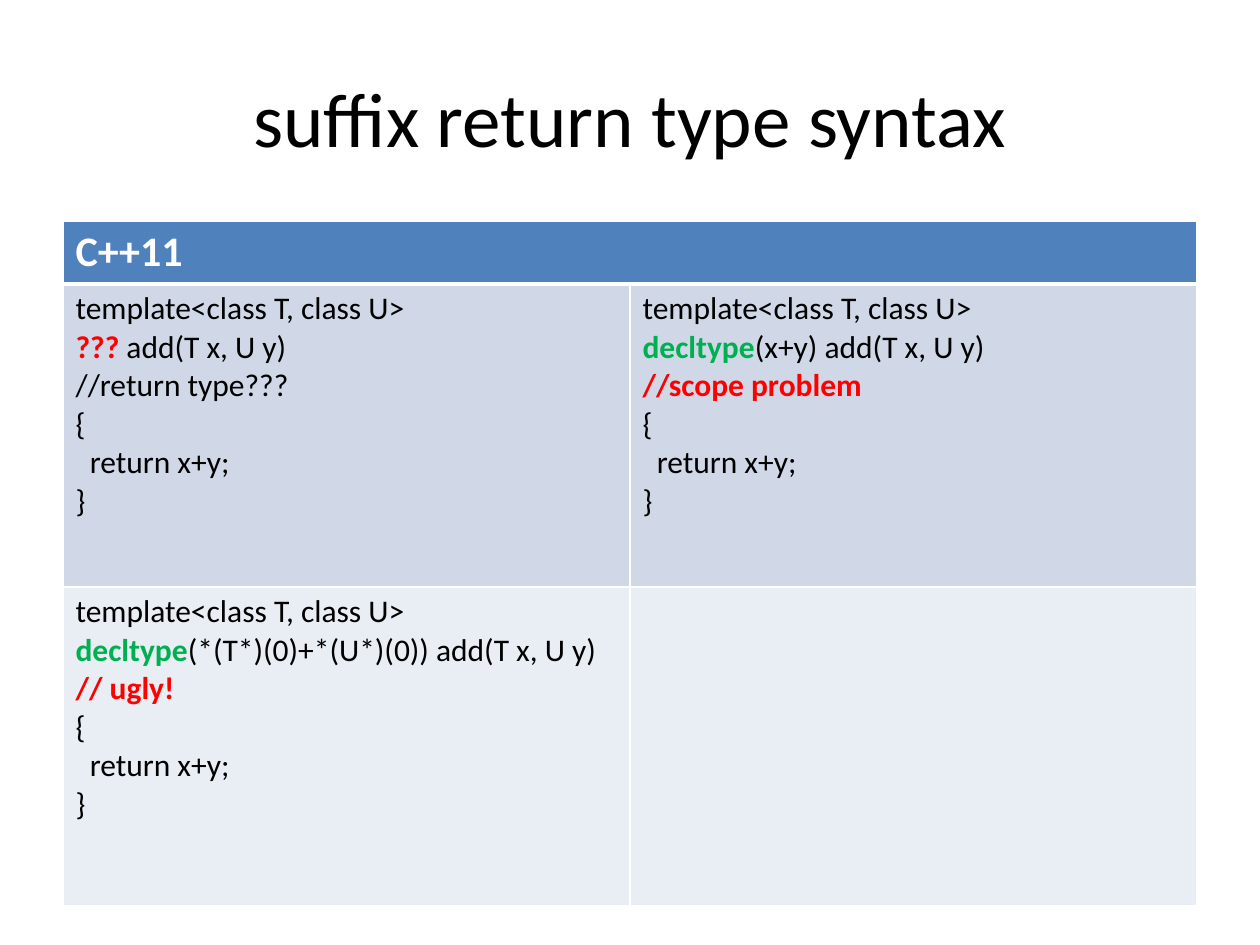
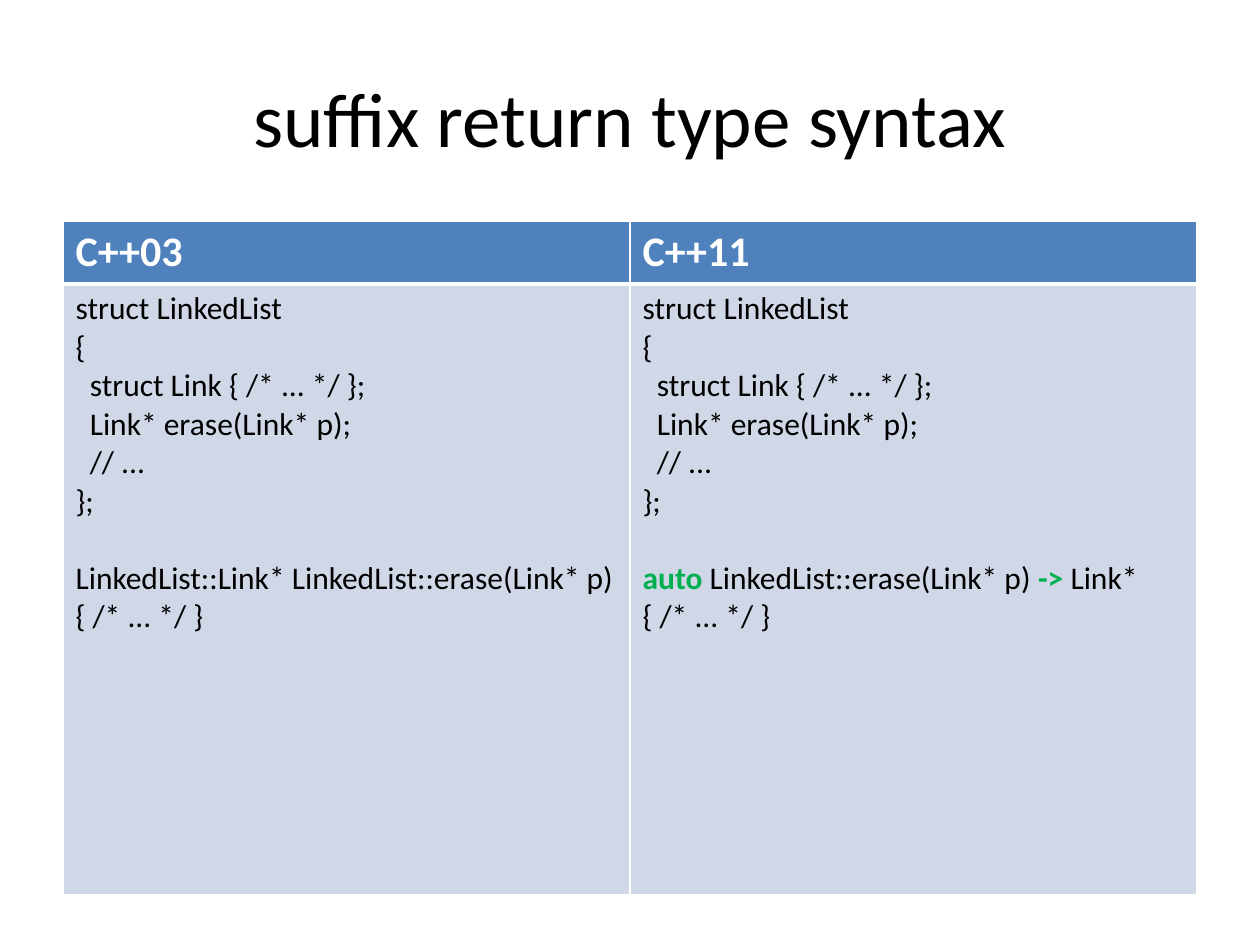
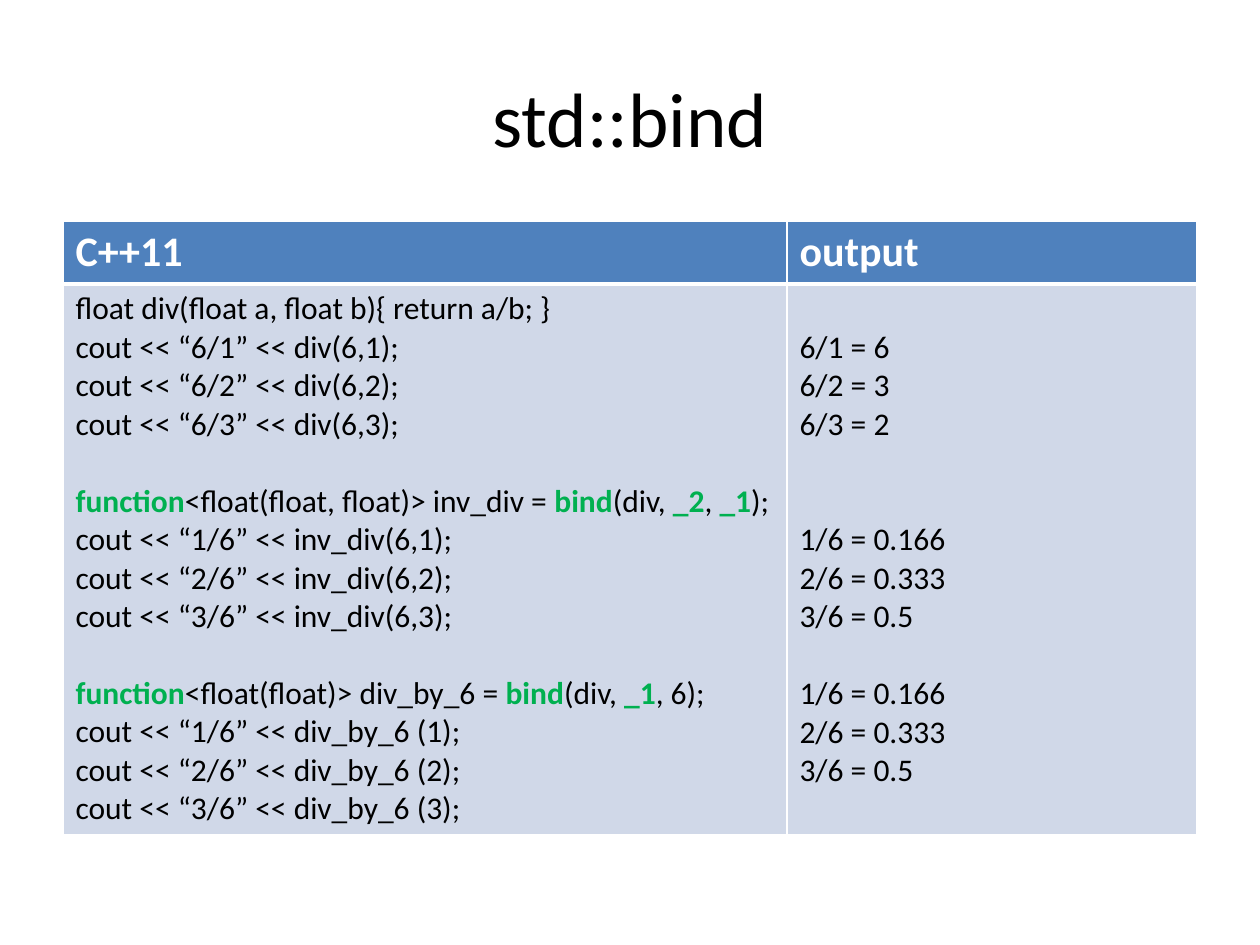
from lxml.etree import SubElement
from pptx import Presentation
from pptx.dml.color import RGBColor
from pptx.enum.text import MSO_ANCHOR, PP_ALIGN
from pptx.oxml.ns import qn
from pptx.util import Pt

SCALE = 914400 / 126
FONT = "Calibri"
COLOURS = {
    "white": "FFFFFF",
    "black": "000000",
    "header": "4F81BD",
    "odd_row": "D0D8E8",
    "even_row": "E9EDF4",
    "red": "FF0000",
    "green": "00B050",
}
PAGE_WIDTH, PAGE_HEIGHT = 1260, 945
LEFT, CONTENT_WIDTH = 63, 1134
TITLE_TOP, TITLE_HEIGHT = 38, 157
TABLE_TOP, HEADER_HEIGHT = 221, 63
CELL_MARGIN = 6
CODE_LINE = 22


def px(length):
    return round(length * SCALE)


def add_span(para, text, size, colour, bold=False):
    span = para.add_run()
    span.text = text
    span.font.name = FONT
    span.font.size = Pt(size)
    span.font.bold = bold
    span.font.color.rgb = RGBColor.from_string(COLOURS[colour])


template_line = ["template<class T, class U>"]
add_body = [["{"], ["  return x+y;"], ["}"]]
struct_lines = [
    ["struct LinkedList"],
    ["{"],
    ["  struct Link { /* ... */ };"],
    ["  Link* erase(Link* p);"],
    ["  // ..."],
    ["};"],
    [],
]
erase_body = ["{ /* ... */ }"]
function, bind = ("function", "green"), ("bind", "green")
first, second = ("_1", "green"), ("_2", "green")
sixths = [["1/6 = 0.166"], ["2/6 = 0.333"], ["3/6 = 0.5"]]

unknown_type = [
    template_line,
    [("??? ", "red"), "add(T x, U y)"],
    ["//return type???"],
    *add_body,
]
scope_problem = [
    template_line,
    [("decltype", "green"), "(x+y) add(T x, U y)"],
    [("//scope problem", "red")],
    *add_body,
]
ugly_type = [
    template_line,
    [("decltype", "green"), "(*(T*)(0)+*(U*)(0)) add(T x, U y)"],
    [("// ugly!", "red")],
    *add_body,
]
prefix_erase = [*struct_lines, ["LinkedList::Link* LinkedList::erase(Link* p)"], erase_body]
suffix_erase = [
    *struct_lines,
    [("auto ", "green"), "LinkedList::erase(Link* p) ", ("-> ", "green"), "Link*"],
    erase_body,
]
bind_code = [
    ["float div(float a, float b){ return a/b; }"],
    *[[f"cout << “6/{n}” << div(6,{n});"] for n in (1, 2, 3)],
    [],
    [function, "<float(float, float)> inv_div = ", bind, "(div, ", second, ", ", first, ");"],
    *[[f"cout << “{n}/6” << inv_div(6,{n});"] for n in (1, 2, 3)],
    [],
    [function, "<float(float)> div_by_6 = ", bind, "(div, ", first, ", 6);"],
    *[[f"cout << “{n}/6” << div_by_6 ({n});"] for n in (1, 2, 3)],
]
bind_output = [
    [], ["6/1 = 6"], ["6/2 = 3"], ["6/3 = 2"],
    [], [], *sixths,
    [], *sixths,
]

pages = [
    {
        "title": "suffix return type syntax",
        "columns": [567, 567],
        "headers": ["C++11"],
        "heights": [303, 319],
        "rows": [[unknown_type, scope_problem], [ugly_type, []]],
    },
    {
        "title": "suffix return type syntax",
        "columns": [567, 567],
        "headers": ["C++03", "C++11"],
        "heights": [611],
        "rows": [[prefix_erase, suffix_erase]],
    },
    {
        "title": "std::bind",
        "columns": [724, 410],
        "headers": ["C++11", "output"],
        "heights": [551],
        "rows": [[bind_code, bind_output]],
    },
]

deck = Presentation()
deck.slide_width, deck.slide_height = px(PAGE_WIDTH), px(PAGE_HEIGHT)

for content in pages:
    page = deck.slides.add_slide(deck.slide_layouts[6])
    box = page.shapes.add_textbox(px(LEFT), px(TITLE_TOP), px(CONTENT_WIDTH), px(TITLE_HEIGHT))
    box.text_frame.word_wrap = True
    box.text_frame.vertical_anchor = MSO_ANCHOR.MIDDLE
    title = box.text_frame.paragraphs[0]
    title.alignment = PP_ALIGN.CENTER
    add_span(title, content["title"], 44, "black")

    heights = [HEADER_HEIGHT, *content["heights"]]
    table = page.shapes.add_table(
        len(heights), len(content["columns"]),
        px(LEFT), px(TABLE_TOP), px(CONTENT_WIDTH), px(sum(heights)),
    ).table
    for column, width in zip(table.columns, content["columns"]):
        column.width = px(width)
    for row_index, height in enumerate(heights):
        table.rows[row_index].height = px(height)
        fill = "header" if row_index == 0 else "odd_row" if row_index % 2 else "even_row"
        top_width = 3 if row_index == 1 else 1
        bottom_width = 3 if row_index == 0 else 1
        for cell in table.rows[row_index].cells:
            properties = cell._tc.get_or_add_tcPr()
            for side, width in (("L", 1), ("R", 1), ("T", top_width), ("B", bottom_width)):
                border = SubElement(properties, qn(f"a:ln{side}"), w=str(Pt(width)))
                paint = SubElement(border, qn("a:solidFill"))
                SubElement(paint, qn("a:srgbClr"), val=COLOURS["white"])
            cell.fill.solid()
            cell.fill.fore_color.rgb = RGBColor.from_string(COLOURS[fill])
            cell.margin_top = cell.margin_bottom = px(CELL_MARGIN)

    for column_index, header in enumerate(content["headers"]):
        add_span(table.cell(0, column_index).text_frame.paragraphs[0], header, 24, "white", True)
    if len(content["headers"]) == 1:
        table.cell(0, 0).merge(table.cell(0, 1))

    for row_index, row in enumerate(content["rows"], 1):
        for column_index, lines in enumerate(row):
            cell = table.cell(row_index, column_index)
            para = None
            skipped = 0
            for line in lines:
                if not line:
                    skipped += 1
                    continue
                if para is None:
                    para = cell.text_frame.paragraphs[0]
                    cell.margin_top = px(CELL_MARGIN) + Pt(CODE_LINE * skipped)
                else:
                    para = cell.text_frame.add_paragraph()
                    if skipped:
                        para.space_before = Pt(CODE_LINE * skipped)
                skipped = 0
                for part in line:
                    if isinstance(part, tuple):
                        add_span(para, part[0], 18, part[1], True)
                    else:
                        add_span(para, part, 18, "black")

deck.save("out.pptx")
